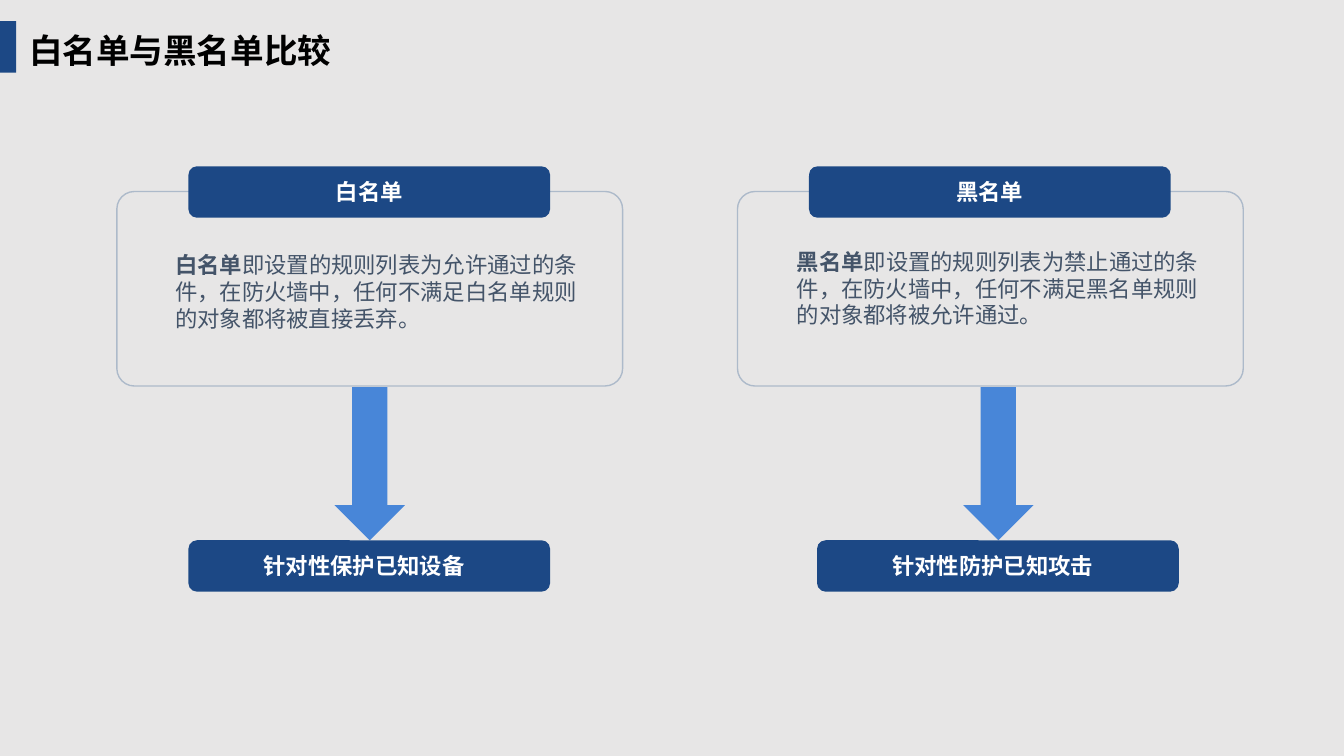
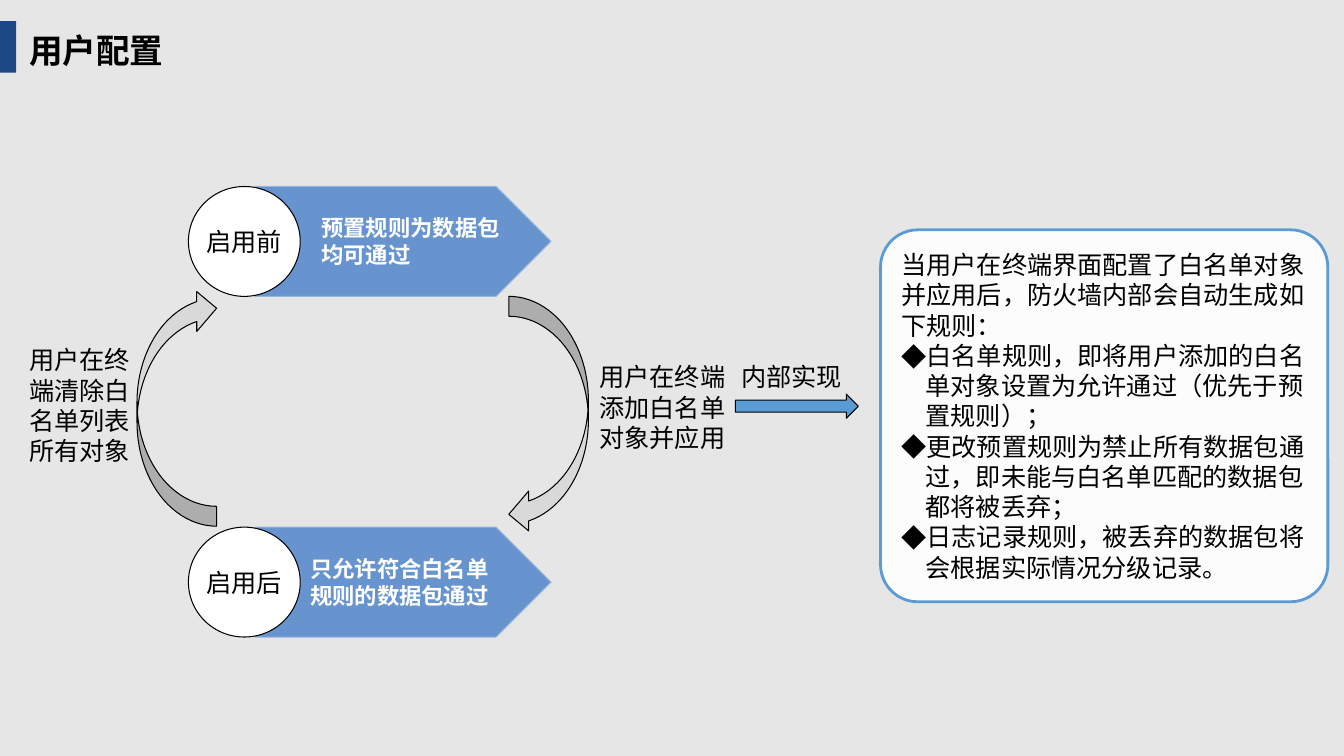
from lxml import etree
from pptx import Presentation
from pptx.dml.color import RGBColor
from pptx.enum import shapes, text
from pptx.oxml import ns
from pptx.util import Inches, Pt

GRAY = RGBColor(0xE7, 0xE6, 0xE6)
NAVY = RGBColor(0x1C, 0x48, 0x85)
BLUE = RGBColor(0x48, 0x86, 0xD8)
SKY = RGBColor(0x5B, 0x9B, 0xD5)
STEEL = RGBColor(0x67, 0x94, 0xCE)
PALE = RGBColor(0x96, 0xB5, 0xDD)
FRAME = RGBColor(0xAD, 0xBA, 0xCA)
SLATE = RGBColor(0x44, 0x54, 0x69)
SILVER = RGBColor(0xD9, 0xD9, 0xD9)
WHITE = RGBColor(0xFF, 0xFF, 0xFF)
BLACK = RGBColor(0, 0, 0)

SANS = "Noto Sans CJK SC"
ARIAL = "Arial"
KIND = shapes.MSO_SHAPE
LEFT, MID = text.PP_ALIGN.LEFT, text.PP_ALIGN.CENTER


def style(para, size, color, bold=False, face=SANS, align=LEFT):
    """Format every run of a paragraph."""
    para.alignment = align
    for run in para.runs:
        font = run.font
        font.name, font.size, font.bold = face, Pt(size), bold
        font.color.rgb = color
        east = etree.SubElement(font._element, ns.qn("a:ea"))
        east.set("typeface", SANS)


def shape(slide, kind, box, fill=None, line=None, width=0.75, adj=()):
    """Add a preset shape; no fill or line unless given."""
    item = slide.shapes.add_shape(kind, *map(Inches, box))
    item.shadow.inherit = False
    if fill is None:
        item.fill.background()
    else:
        item.fill.solid()
        item.fill.fore_color.rgb = fill
    if line is None:
        item.line.fill.background()
    else:
        item.line.color.rgb = line
        item.line.width = Pt(width)
    for i, value in enumerate(adj):
        item.adjustments[i] = value
    return item


def label(slide, box, words, size=18, color=BLACK, bold=False, face=SANS):
    """Add a wrapping text box."""
    frame = slide.shapes.add_textbox(*map(Inches, box)).text_frame
    frame.word_wrap = True
    frame.text = words
    para = frame.paragraphs[0]
    style(para, size, color, bold, face)
    return para


def bar(slide, left, top, words, pad=0.1):
    """Add a navy bar with a centred caption."""
    item = shape(slide, KIND.ROUNDED_RECTANGLE, (left, top, 3.59, 0.51), NAVY)
    frame = item.text_frame
    frame.margin_right = Inches(pad)
    frame.text = words
    style(frame.paragraphs[0], 16, WHITE, True, ARIAL, MID)


def page(deck, title):
    """Add a slide with the shared background, title and side band."""
    slide = deck.slides.add_slide(deck.slide_layouts[6])
    slide.background.fill.solid()
    slide.background.fill.fore_color.rgb = GRAY
    label(slide, (0.19, 0.25, 3.6, 0.5), title, 24, bold=True)
    shape(slide, KIND.RECTANGLE, (0, 0.21, 0.16, 0.51), NAVY)
    return slide


def panel(slide, left, name, rule, note, goal, base):
    """Add a framed definition, and an arrow to its goal at base."""
    shape(slide, KIND.ROUNDED_RECTANGLE, (left, 1.9, 5.02, 1.93),
          line=FRAME, width=1, adj=[0.09])
    bar(slide, left + 0.71, 1.65, name)
    para = label(slide, note, name, 16, SLATE)
    para.add_run().text = rule
    style(para, 16, SLATE)
    para.runs[0].font.bold = True
    shape(slide, KIND.DOWN_ARROW, (base + 1.45, 3.84, 0.7, 1.52), BLUE)
    bar(slide, base, 5.36, goal, 0.2)


def stage(slide, top, name, words, left):
    """Add a pentagon with a round name tag."""
    shape(slide, KIND.PENTAGON, (2.53, top, 2.94, 1.09), STEEL, PALE)
    disc = shape(slide, KIND.OVAL, (1.87, top, 1.11, 1.09), WHITE, BLACK)
    frame = disc.text_frame
    frame.word_wrap = False
    frame.text = name
    style(frame.paragraphs[0], 18, BLACK, align=MID)
    label(slide, (left, top + 0.23, 2.07, 0.64), words, 16, WHITE, True, ARIAL)


def bullet(para):
    """Give a paragraph a hanging diamond bullet."""
    props = para._p.get_or_add_pPr()
    props.set("marL", str(Inches(0.24)))
    props.set("indent", str(-Inches(0.24)))
    tint = etree.SubElement(props, ns.qn("a:buClr"))
    etree.SubElement(tint, ns.qn("a:srgbClr")).set("val", str(BLACK))
    etree.SubElement(props, ns.qn("a:buFont")).set("typeface", SANS)
    etree.SubElement(props, ns.qn("a:buChar")).set("char", "◆")


def rules(slide, box, lead, points):
    """Add the translucent card with a lead and bullet points."""
    card = shape(slide, KIND.ROUNDED_RECTANGLE, box, WHITE, SKY, 2, [0.1])
    tint = card.fill._xPr.find(".//" + ns.qn("a:srgbClr"))
    etree.SubElement(tint, ns.qn("a:alpha")).set("val", "90000")
    frame = card.text_frame
    frame.text = lead
    style(frame.paragraphs[0], 18, BLACK)
    for point in points:
        para = frame.add_paragraph()
        para.text = point
        bullet(para)
        style(para, 18, BLACK)


def compare(deck):
    slide = page(deck, "白名单与黑名单比较")
    panel(slide, 1.16, "白名单",
          "即设置的规则列表为允许通过的条件，在防火墙中，"
          "任何不满足白名单规则的对象都将被直接丢弃。",
          (1.64, 2.44, 4.21, 0.9), "针对性保护已知设备", 1.87)
    panel(slide, 7.32, "黑名单",
          "即设置的规则列表为禁止通过的条件，在防火墙中，"
          "任何不满足黑名单规则的对象都将被允许通过。",
          (7.81, 2.41, 4.21, 0.9), "针对性防护已知攻击", 8.11)


def config(deck):
    slide = page(deck, "用户配置")
    # Two states
    stage(slide, 1.85, "启用前", "预置规则为数据包均可通过", 3.09)
    stage(slide, 5.23, "启用后", "只允许符合白名单规则的数据包通过", 2.98)
    # Cycle between them
    for left, top, turn in ((5.05, 2.94, 0), (1.36, 2.86, 180)):
        bend = shape(slide, KIND.CURVED_LEFT_ARROW, (left, top, 0.79, 2.36),
                     SILVER, BLACK)
        bend.rotation = turn
    label(slide, (0.19, 3.37, 1.31, 1.3), "用户在终端清除白名单列表所有对象")
    label(slide, (5.85, 3.54, 1.55, 1), "用户在终端添加白名单对象并应用")
    # What happens inside
    shape(slide, KIND.RIGHT_ARROW, (7.3, 3.91, 1.22, 0.24), SKY, BLACK)
    label(slide, (7.26, 3.54, 1.35, 0.4), "内部实现")
    rules(slide, (8.74, 2.28, 4.44, 3.69),
          "当用户在终端界面配置了白名单对象并应用后，防火墙内部会自动生成如下规则：",
          ("白名单规则，即将用户添加的白名单对象设置为允许通过（优先于预置规则）；",
           "更改预置规则为禁止所有数据包通过，即未能与白名单匹配的数据包都将被丢弃；",
           "日志记录规则，被丢弃的数据包将会根据实际情况分级记录。"))


def main():
    deck = Presentation()
    deck.slide_width, deck.slide_height = Inches(13.34), Inches(7.5)
    compare(deck)
    config(deck)
    deck.save("out.pptx")


if __name__ == "__main__":
    main()
